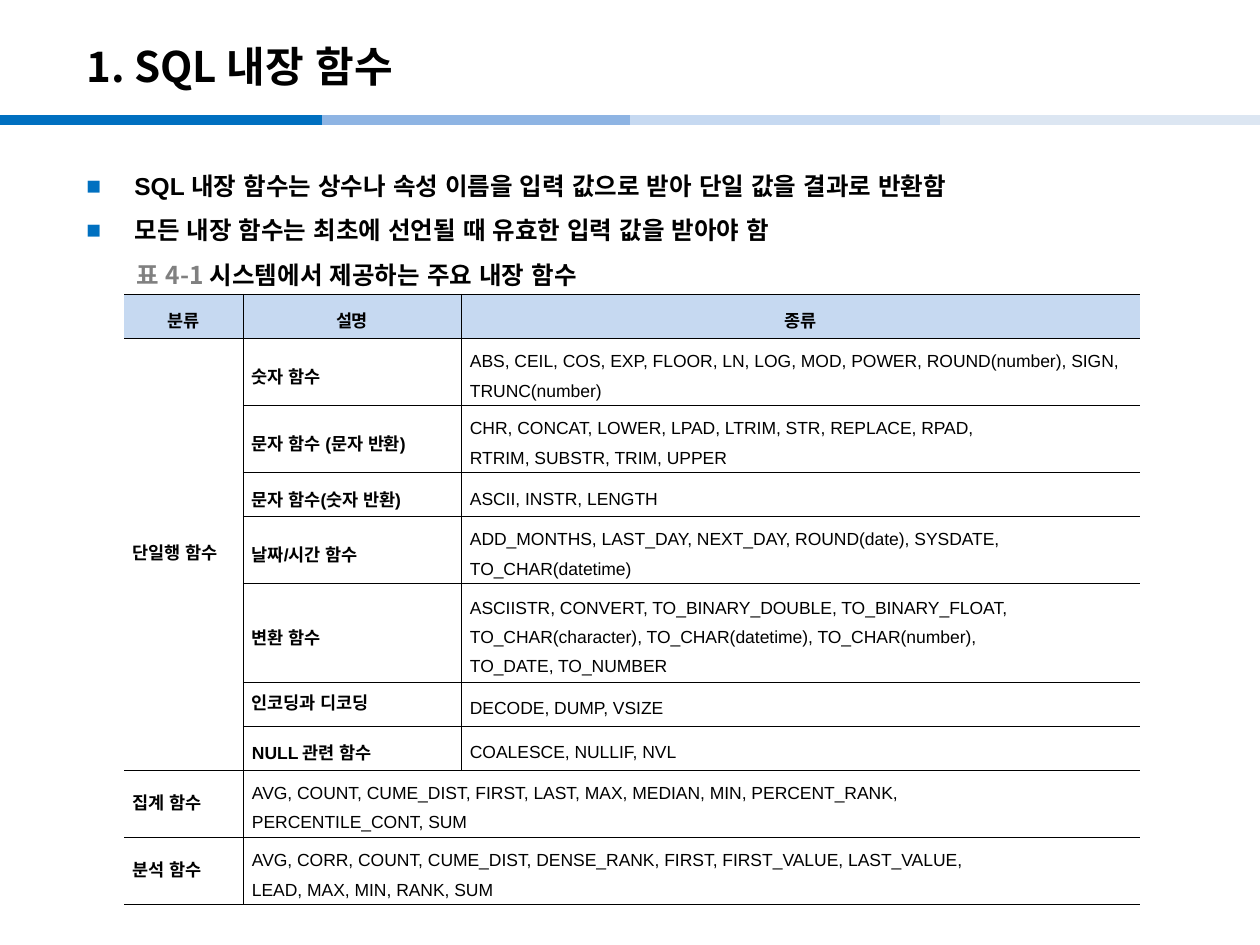
from lxml import etree
from pptx import Presentation
from pptx.dml.color import RGBColor
from pptx.enum.shapes import MSO_CONNECTOR
from pptx.enum.text import MSO_ANCHOR, PP_ALIGN
from pptx.oxml.ns import qn
from pptx.util import Pt

LINE = MSO_CONNECTOR.STRAIGHT
MID, TOP = MSO_ANCHOR.MIDDLE, MSO_ANCHOR.TOP
LEFT, CENTER, JUST = PP_ALIGN.LEFT, PP_ALIGN.CENTER, PP_ALIGN.JUSTIFY
EMU = 914400 / 126
SANS, KOREAN = "Arial", "Noto Sans CJK KR"
BLACK, GRAY, BLUE, PALE = "000000", "808080", "0070C0", "C6D9F1"

HEAD = ["분류", "설명", "종류"]
SINGLE = [
    ("숫자 함수", "ABS, CEIL, COS, EXP, FLOOR, LN, LOG, MOD, POWER, ROUND(number), SIGN, TRUNC(number)"),
    ("문자 함수 (문자 반환)", "CHR, CONCAT, LOWER, LPAD, LTRIM, STR, REPLACE, RPAD,\nRTRIM, SUBSTR, TRIM, UPPER"),
    ("문자 함수(숫자 반환)", "ASCII, INSTR, LENGTH"),
    ("날짜/시간 함수", "ADD_MONTHS, LAST_DAY, NEXT_DAY, ROUND(date), SYSDATE,\nTO_CHAR(datetime)"),
    ("변환 함수", "ASCIISTR, CONVERT, TO_BINARY_DOUBLE, TO_BINARY_FLOAT,\n"
     "TO_CHAR(character), TO_CHAR(datetime), TO_CHAR(number),\nTO_DATE, TO_NUMBER"),
    ("인코딩과 디코딩", "DECODE, DUMP, VSIZE"),
    ("NULL 관련 함수", "COALESCE, NULLIF, NVL"),
]
GROUPS = [
    ("집계 함수", "AVG, COUNT, CUME_DIST, FIRST, LAST, MAX, MEDIAN, MIN, PERCENT_RANK,\nPERCENTILE_CONT, SUM"),
    ("분석 함수", "AVG, CORR, COUNT, CUME_DIST, DENSE_RANK, FIRST, FIRST_VALUE, LAST_VALUE,\nLEAD, MAX, MIN, RANK, SUM"),
]
COLS = [119, 218, 679]
ROWS = [44] * 9 + [52]


def px(n):
    return round(n * EMU)


def rgb(code):
    return RGBColor.from_string(code)


def add(parent, tag, **attrs):
    return etree.SubElement(parent, qn(tag), attrs)


class Deck:
    def __init__(self, wide, high):
        self.prs = Presentation()
        self.prs.slide_width, self.prs.slide_height = px(wide), px(high)
        self.slide = self.prs.slides.add_slide(self.prs.slide_layouts[6])

    def font(self, par, size, name, bold=True, color=BLACK):
        font = par.font
        font.size, font.name, font.bold = Pt(size), name, bold
        if color:
            font.color.rgb = rgb(color)
        add(par._p.pPr.find(qn("a:defRPr")), "a:ea", typeface=SANS)

    def bar(self, x1, x2, y, color):
        bar = self.slide.shapes.add_connector(LINE, px(x1), px(y), px(x2), px(y))
        bar.line.color.rgb, bar.line.width = rgb(color), Pt(6)
        add(bar._element.spPr, "a:effectLst")

    def box(self, x, y, w, h, anchor=MID):
        frame = self.slide.shapes.add_textbox(px(x), px(y), px(w), px(h)).text_frame
        frame.word_wrap, frame.vertical_anchor = True, anchor
        return frame

    def title(self, text, *place):
        par = self.box(*place).paragraphs[0]
        par.text = text
        self.font(par, 24, KOREAN)

    def bullets(self, items, *place):
        frame = self.box(*place, anchor=TOP)
        frame.text = "\n".join(items)
        for par in frame.paragraphs:
            par.line_spacing = 1.5
            props = par._p.get_or_add_pPr()
            props.set("marL", str(px(48)))
            props.set("indent", str(-px(48)))
            add(add(props, "a:buClr"), "a:srgbClr", val=BLUE)
            add(props, "a:buFont", typeface=SANS)
            add(props, "a:buChar", char="■")
            self.font(par, 14, SANS)

    def caption(self, parts, *place):
        par = self.box(*place).paragraphs[0]
        for text, color in parts:
            run = par.add_run()
            run.text, run.font.color.rgb = text, rgb(color)
        self.font(par, 14, KOREAN, color=None)

    def table(self, x, y, cols, rows):
        shape = self.slide.shapes.add_table(
            len(rows), len(cols), px(x), px(y), px(sum(cols)), px(sum(rows)))
        table = shape.table
        table.first_row = table.horz_banding = False
        for col, wide in zip(table.columns, cols):
            col.width = px(wide)
        for row, high in zip(table.rows, rows):
            row.height = px(high)
        return table

    def cell(self, cell, text, align=LEFT, space=None, bold=True, fill=None, sides="LRTB"):
        """Fill one cell and rule the named sides."""
        cell.text, cell.vertical_anchor = text, MID
        cell.margin_left = cell.margin_right = px(9)
        cell.margin_top = cell.margin_bottom = px(2)
        for par in cell.text_frame.paragraphs:
            par.alignment, par.line_spacing = align, space
            self.font(par, 10, SANS, bold)
        props = cell._tc.get_or_add_tcPr()
        for side in "LRTB":
            edge = add(props, "a:ln" + side, w=str(Pt(0.28)))
            if side in sides:
                add(add(edge, "a:solidFill"), "a:srgbClr", val=BLACK)
            else:
                add(edge, "a:noFill")
        if fill:
            cell.fill.solid()
            cell.fill.fore_color.rgb = rgb(fill)
        else:
            cell.fill.background()


def main():
    deck = Deck(1260, 945)
    for x1, x2, color in [(0, 322, BLUE), (322, 645, "8EB4E3"),
                          (630, 953, PALE), (940, 1262, "DCE6F2")]:
        deck.bar(x1, x2, 120, color)
    deck.title("1. SQL 내장 함수", 74, 28, 1042, 76)
    deck.bullets(["SQL 내장 함수는 상수나 속성 이름을 입력 값으로 받아 단일 값을 결과로 반환함",
                  "모든 내장 함수는 최초에 선언될 때 유효한 입력 값을 받아야 함"], 74, 150, 1111, 753)

    table = deck.table(124, 294, COLS, ROWS)
    last = len(SINGLE)
    table.cell(1, 0).merge(table.cell(last, 0))
    edges = ["RTB", "LRTB", "LTB"]
    for col, text in enumerate(HEAD):
        deck.cell(table.cell(0, col), text, CENTER, 1.6, fill=PALE, sides=edges[col])
    deck.cell(table.cell(1, 0), "단일행 함수", sides=edges[0])
    for row, (name, funcs) in enumerate(SINGLE, 1):
        plain = name == "인코딩과 디코딩"
        deck.cell(table.cell(row, 1), name, LEFT if plain else JUST, None if plain else 1.6)
        deck.cell(table.cell(row, 2), funcs, LEFT, 1.5, False, sides=edges[2])
    for row, (name, funcs) in enumerate(GROUPS, last + 1):
        table.cell(row, 1).merge(table.cell(row, 2))
        deck.cell(table.cell(row, 0), name, sides=edges[0])
        deck.cell(table.cell(row, 1), funcs, JUST, 1.5, False, sides=edges[2])

    deck.caption([("표 4-1 ", GRAY), ("시스템에서 제공하는 주요 내장 함수", BLACK)], 124, 255, 500, 39)
    deck.prs.save("out.pptx")


if __name__ == "__main__":
    main()
